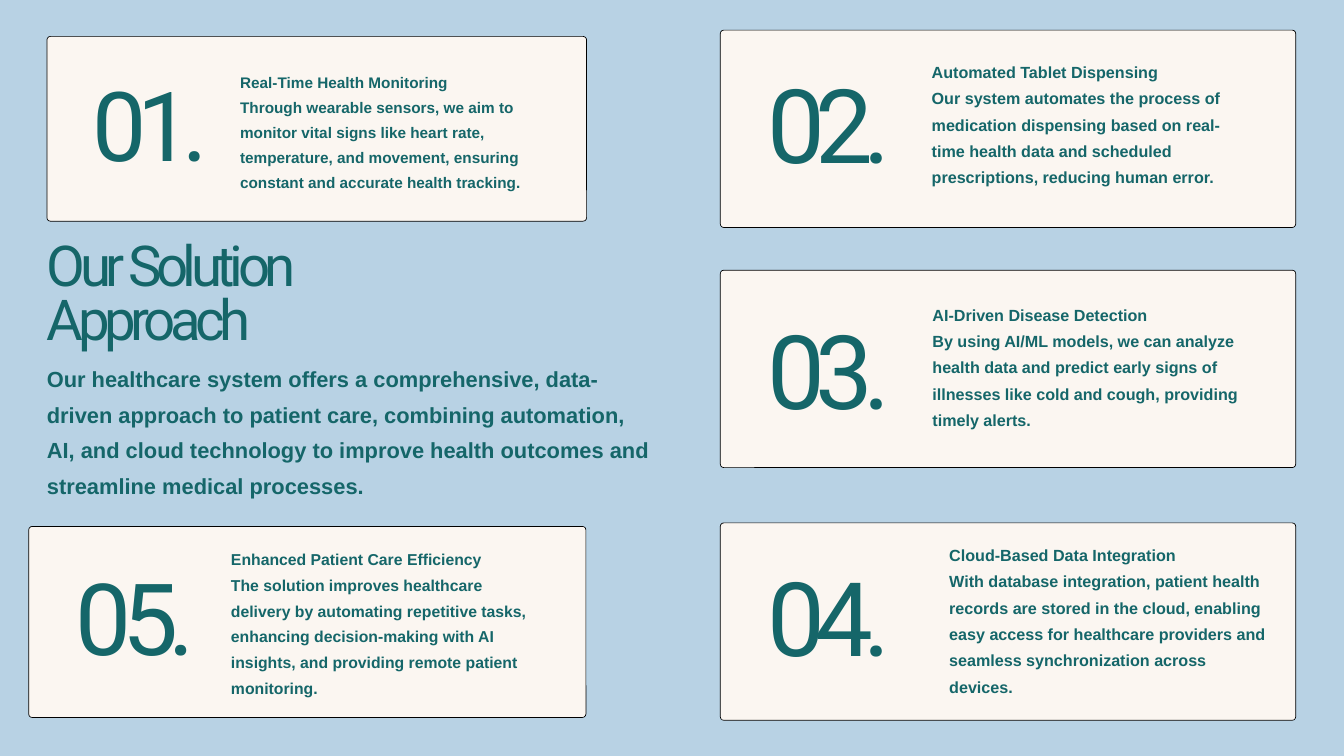
from pptx import Presentation
from pptx.dml.color import RGBColor
from pptx.enum.shapes import MSO_SHAPE
from pptx.enum.text import MSO_ANCHOR, MSO_AUTO_SIZE, PP_ALIGN
from pptx.util import Pt

PX = 9525
SKY = RGBColor(0xB8, 0xD2, 0xE4)
CREAM = RGBColor(0xFB, 0xF6, 0xF1)
TEAL = RGBColor(0x15, 0x66, 0x69)
BLACK = RGBColor(0, 0, 0)

CORNER = 5
DISPLAY = {"name": "Roboto", "bold": False}
BODY = {"name": "Arial", "bold": True}
LEADING = {"Roboto": 0.96, "Arial": 1.63}
TRACKING = {"Roboto": -0.096, "Arial": 0}
FRAME = {
    "margin_left": 0, "margin_top": 0, "margin_right": 0, "margin_bottom": 0,
    "word_wrap": True, "vertical_anchor": MSO_ANCHOR.TOP,
    "auto_size": MSO_AUTO_SIZE.SHAPE_TO_FIT_TEXT,
}


def scaled(box):
    return [value * PX for value in box]


def write_text(shape, lines, size, style):
    text_frame = shape.text_frame
    for name, value in FRAME.items():
        setattr(text_frame, name, value)
    text_frame.text = "\n".join(lines)
    for paragraph in text_frame.paragraphs:
        paragraph.alignment = PP_ALIGN.LEFT
        paragraph.space_before = Pt(0)
        paragraph.line_spacing = Pt(round(size * LEADING[style["name"]], 1))
        run = paragraph.runs[0]
        for name, value in {**style, "size": Pt(size)}.items():
            setattr(run.font, name, value)
        run.font.color.rgb = TEAL
        tracking = round(size * TRACKING[style["name"]], 1)
        if tracking:
            run.font._element.set("spc", str(round(tracking * 100)))


presentation = Presentation()
presentation.slide_width = 1920 * PX
presentation.slide_height = 1080 * PX
slide = presentation.slides.add_slide(presentation.slide_layouts[5])
slide.background.fill.solid()
slide.background.fill.fore_color.rgb = SKY

title = slide.shapes.title
title.left, title.top, title.width, title.height = scaled((67, 348, 629, 160))
write_text(title, ["Our Solution Approach"], 60.4, DISPLAY)

introduction = slide.shapes.add_textbox(*scaled((67, 509, 863, 205)))
write_text(introduction, [
    "Our healthcare system offers a comprehensive, data-driven approach to patient care, "
    "combining automation, AI, and cloud technology to improve health outcomes and "
    "streamline medical processes."
], 23.4, BODY)

cards = [
    ("01.", (67, 52, 771, 264), (132, 126, 199, 140), 103.4, (343, 95, 428, 177), 16.4,
     "Real-Time Health Monitoring",
     "Through wearable sensors, we aim to monitor vital signs like heart rate, "
     "temperature, and movement, ensuring constant and accurate health tracking."),
    ("02.", (1029, 43, 822, 282), (1097, 122, 212, 151), 110.2, (1331, 79, 457, 188), 17.3,
     "Automated Tablet Dispensing",
     "Our system automates the process of medication dispensing based on real-time "
     "health data and scheduled prescriptions, reducing human error."),
    ("03.", (1029, 386, 822, 282), (1097, 473, 212, 151), 110.2, (1332, 426, 457, 188), 17.3,
     "AI-Driven Disease Detection",
     "By using AI/ML models, we can analyze health data and predict early signs of "
     "illnesses like cold and cough, providing timely alerts."),
    ("04.", (1029, 747, 822, 282), (1097, 826, 212, 151), 110.2, (1356, 769, 457, 225), 17.3,
     "Cloud-Based Data Integration",
     "With database integration, patient health records are stored in the cloud, "
     "enabling easy access for healthcare providers and seamless synchronization "
     "across devices."),
    ("05.", (41, 752, 796, 273), (108, 828, 205, 145), 106.8, (330, 776, 443, 218), 16.9,
     "Enhanced Patient Care Efficiency",
     "The solution improves healthcare delivery by automating repetitive tasks, "
     "enhancing decision-making with AI insights, and providing remote patient "
     "monitoring."),
]

for number, card_box, number_box, number_size, body_box, body_size, heading, description in cards:
    card = slide.shapes.add_shape(MSO_SHAPE.ROUNDED_RECTANGLE, *scaled(card_box))
    card.adjustments[0] = CORNER / card_box[3]
    card.shadow.inherit = False
    card.fill.solid()
    card.fill.fore_color.rgb = CREAM
    card.line.color.rgb = BLACK
    card.line.width = Pt(0.75)

    number_text = slide.shapes.add_textbox(*scaled(number_box))
    write_text(number_text, [number], number_size, DISPLAY)

    body_text = slide.shapes.add_textbox(*scaled(body_box))
    write_text(body_text, [heading, description], body_size, BODY)

presentation.save("out.pptx")
